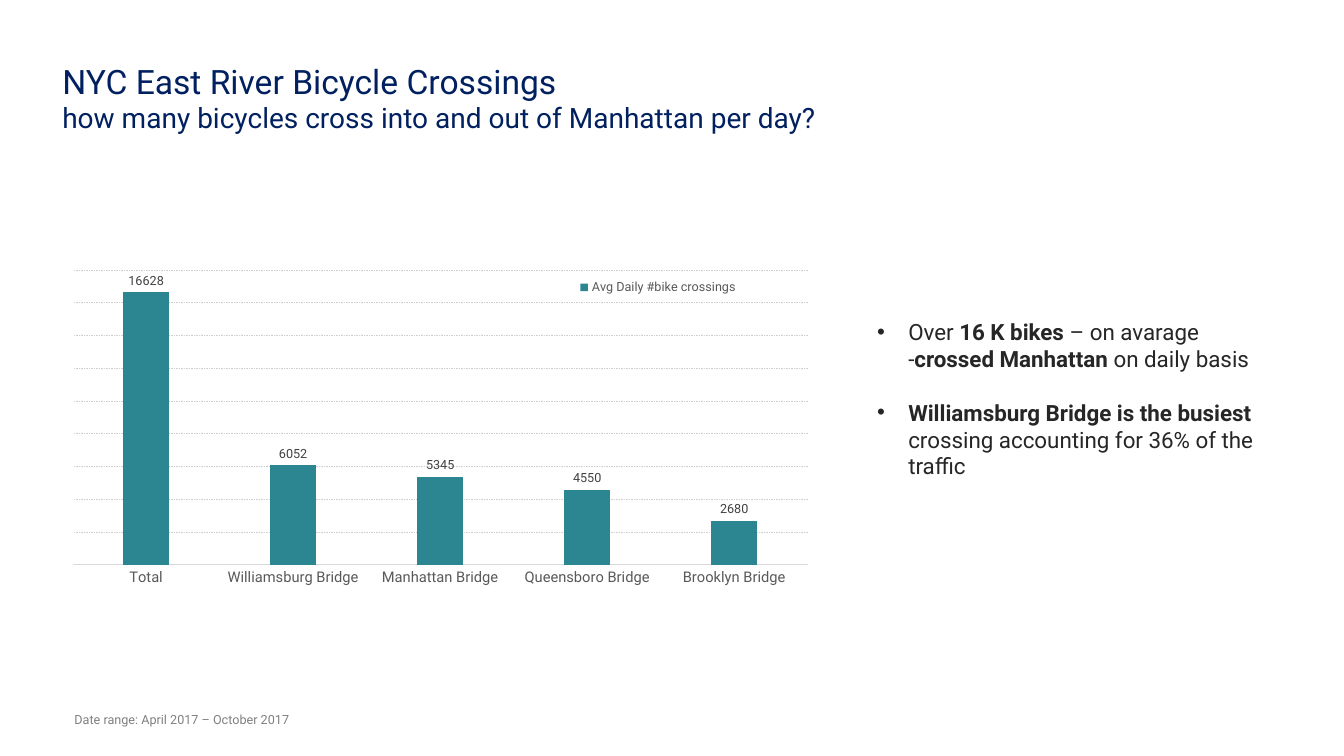
from dataclasses import dataclass

from lxml import etree
from pptx import Presentation
from pptx import util as u
from pptx.chart import data as chart_data
from pptx.dml.color import RGBColor
from pptx.enum import chart as chart_enum
from pptx.enum import dml, text
from pptx.oxml import ns

FONT = "Roboto"
COLORS = {
    "title": "002060",
    "body": "262626",
    "note": "808080",
    "bar": "2C8691",
    "bar_label": "404040",
    "axis_label": "595959",
    "axis_line": "D9D9D9",
    "grid": "D0CECE",
    "chart": "000000",
}
CROSSINGS = {
    "Total": 16628,
    "Williamsburg Bridge": 6052,
    "Manhattan Bridge": 5345,
    "Queensboro Bridge": 4550,
    "Brooklyn Bridge": 2680,
}


@dataclass(frozen=True)
class Run:
    words: str
    bold: bool = False


@dataclass(frozen=True)
class Paragraph:
    runs: tuple[Run, ...]
    size: float
    bullet: bool = False
    space_before: float = 0


@dataclass(frozen=True)
class TextBlock:
    box: tuple[float, float, float, float]
    color: str
    paragraphs: tuple[Paragraph, ...]


BLOCKS = (
    TextBlock((0.52, 0.55, 10.86, 1.25), "title", (
        Paragraph((Run("NYC East River Bicycle Crossings"),), 24),
        Paragraph((Run("how many bicycles cross into and out of Manhattan per day?"),), 20),
    )),
    TextBlock((8.6, 3.11, 4.22, 1.72), "body", (
        Paragraph((
            Run("Over "),
            Run("16 K bikes ", True),
            Run("– on avarage -"),
            Run("crossed Manhattan ", True),
            Run("on daily basis"),
        ), 16, bullet=True),
        Paragraph((
            Run("Williamsburg Bridge is the busiest ", True),
            Run("crossing accounting for 36% of the traffic"),
        ), 16, bullet=True, space_before=19),
    )),
    TextBlock((0.64, 7.01, 4.22, 0.25), "note", (
        Paragraph((Run("Date range: April 2017 – October 2017"),), 9),
    )),
)


def style_font(font, size: float, color: str) -> None:
    font.name = FONT
    font.size = u.Pt(size)
    font.color.rgb = RGBColor.from_string(COLORS[color])


def add_bullet(paragraph) -> None:
    properties = paragraph._p.get_or_add_pPr()
    indent = u.Inches(0.31)
    properties.set("marL", str(indent))
    properties.set("indent", str(-indent))
    etree.SubElement(properties, ns.qn("a:buFont")).set("typeface", "Arial")
    etree.SubElement(properties, ns.qn("a:buChar")).set("char", "•")


def add_text_block(slide, block: TextBlock) -> None:
    frame = slide.shapes.add_textbox(*map(u.Inches, block.box)).text_frame
    frame.word_wrap = True
    frame.vertical_anchor = text.MSO_ANCHOR.TOP
    for index, content in enumerate(block.paragraphs):
        paragraph = frame.add_paragraph() if index else frame.paragraphs[0]
        if content.bullet:
            add_bullet(paragraph)
        if content.space_before:
            paragraph.space_before = u.Pt(content.space_before)
        for part in content.runs:
            run = paragraph.add_run()
            run.text = part.words
            run.font.bold = part.bold
            style_font(run.font, content.size, block.color)


def set_layout(parent, index: int, x: float, y: float, w: float, h: float,
               inner: bool = False) -> None:
    """Place a chart part by fractions of the chart's width and height."""
    for old in parent.findall(ns.qn("c:layout")):
        parent.remove(old)
    layout = etree.Element(ns.qn("c:layout"))
    manual = etree.SubElement(layout, ns.qn("c:manualLayout"))
    settings = {"layoutTarget": "inner"} if inner else {}
    settings |= {"xMode": "edge", "yMode": "edge", "x": x, "y": y, "w": w, "h": h}
    for tag, value in settings.items():
        etree.SubElement(manual, ns.qn(f"c:{tag}")).set("val", str(value))
    parent.insert(index, layout)


def style_line(line, color: str, width: float) -> None:
    line.color.rgb = RGBColor.from_string(COLORS[color])
    line.width = u.Pt(width)


def add_crossings_chart(slide) -> None:
    data = chart_data.CategoryChartData()
    data.categories = list(CROSSINGS)
    data.add_series("Avg Daily #bike crossings", list(CROSSINGS.values()))
    chart = slide.shapes.add_chart(
        chart_enum.XL_CHART_TYPE.COLUMN_CLUSTERED,
        *map(u.Inches, (0.52, 2.2, 7.7, 4.35)), data).chart
    chart.has_title = False
    style_font(chart.font, 10, "chart")

    bridges = chart.category_axis
    bridges.major_tick_mark = chart_enum.XL_TICK_MARK.NONE
    style_font(bridges.tick_labels.font, 10.5, "axis_label")
    style_line(bridges.format.line, "axis_line", 0.75)

    daily = chart.value_axis
    daily.minimum_scale, daily.maximum_scale, daily.major_unit = 0, 18000, 2000
    daily.has_major_gridlines = True
    grid = daily.major_gridlines.format.line
    style_line(grid, "grid", 0.25)
    grid.dash_style = dml.MSO_LINE.DASH
    daily.visible = False

    bars = chart.plots[0]
    bars.gap_width, bars.overlap, bars.vary_by_categories = 219, -27, False
    series = bars.series[0]
    series.invert_if_negative = False
    series.format.fill.solid()
    series.format.fill.fore_color.rgb = RGBColor.from_string(COLORS["bar"])
    labels = series.data_labels
    labels.show_value = True
    labels.position = chart_enum.XL_LABEL_POSITION.OUTSIDE_END
    style_font(labels.font, 9, "bar_label")

    chart.has_legend = True
    legend = chart.legend
    legend.position = chart_enum.XL_LEGEND_POSITION.BOTTOM
    legend.include_in_layout = False
    style_font(legend.font, 9, "axis_label")
    set_layout(legend._element, 1, 0.67, 0.12, 0.22, 0.06)
    plot_area = chart._chartSpace.chart.plotArea
    set_layout(plot_area, 0, 0.026, 0.11, 0.947, 0.672, inner=True)


def main() -> None:
    deck = Presentation()
    deck.slide_width, deck.slide_height = u.Inches(13.33), u.Inches(7.5)
    slide = deck.slides.add_slide(deck.slide_layouts[6])
    add_crossings_chart(slide)
    for block in BLOCKS:
        add_text_block(slide, block)
    deck.save("out.pptx")


if __name__ == "__main__":
    main()
